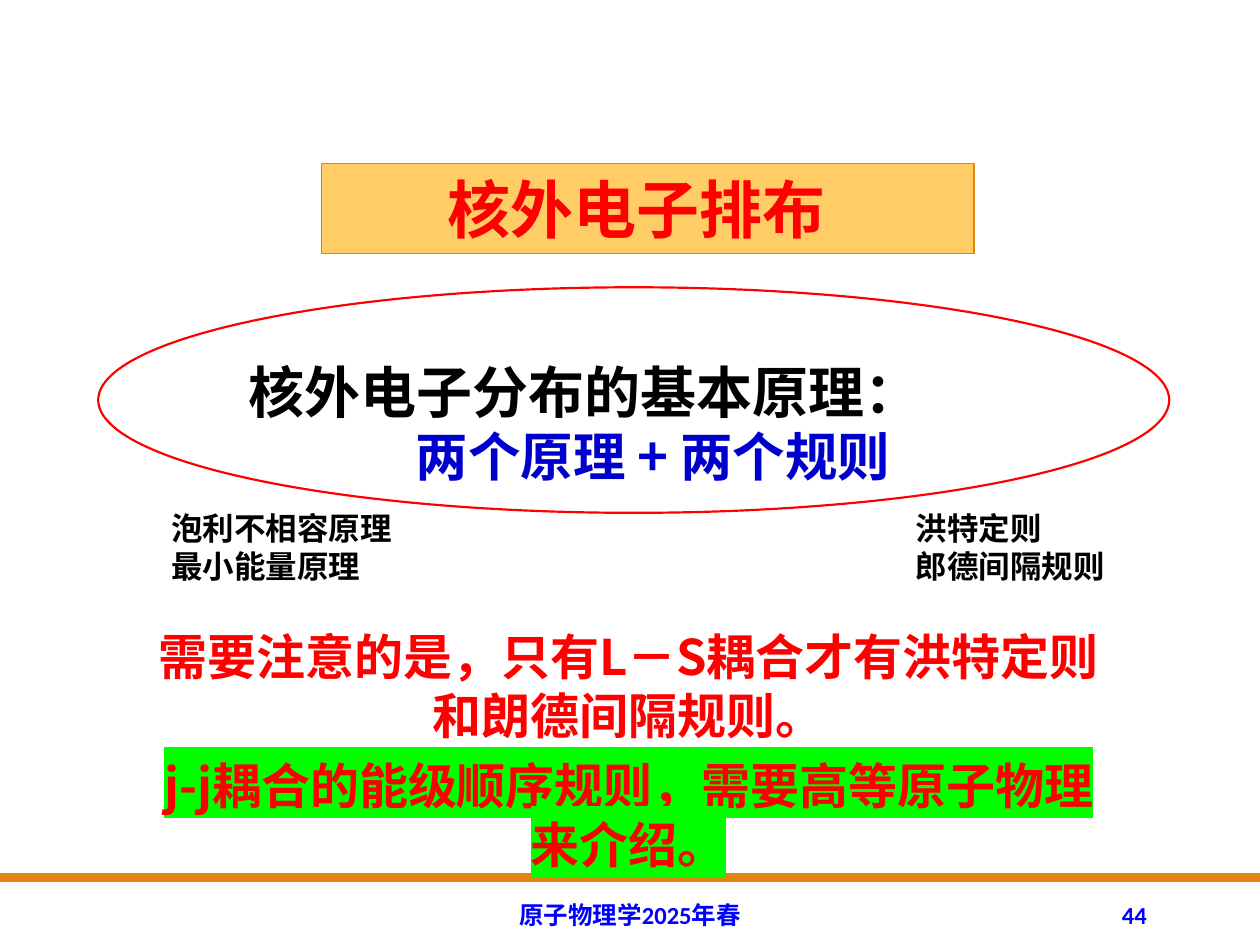
from lxml import etree
from pptx import Presentation
from pptx.dml.color import RGBColor
from pptx.enum.shapes import MSO_SHAPE
from pptx.enum.text import MSO_ANCHOR, PP_ALIGN
from pptx.oxml.ns import qn
from pptx.util import Inches, Pt

RECT, OVAL = MSO_SHAPE.RECTANGLE, MSO_SHAPE.OVAL
LEFT, CENTER, RIGHT, JUSTIFY = PP_ALIGN.LEFT, PP_ALIGN.CENTER, PP_ALIGN.RIGHT, PP_ALIGN.JUSTIFY
TOP, MIDDLE = MSO_ANCHOR.TOP, MSO_ANCHOR.MIDDLE
COLORS = {"orange": "E48312", "sand": "FFCC66", "red": "FF0000", "navy": "0000CC",
          "blue": "0000FF", "black": "000000", "green": "00FF00"}
CJK = "Noto Sans CJK SC"
WIDTH, HEIGHT = Inches(10), Inches(7.5)
COLUMN, ROW = WIDTH / 100, HEIGHT / 75


def color(key):
    return RGBColor.from_string(COLORS[key])


def place(box):
    return [round(share * unit) for share, unit in zip(box, (COLUMN, ROW) * 2)]


def add_outline(slide, kind, box, fill=None, line=None, weight=1):
    shape = slide.shapes.add_shape(kind, *place(box))
    shape.shadow.inherit = False
    if fill:
        shape.fill.solid()
        shape.fill.fore_color.rgb = color(fill)
    else:
        shape.fill.background()
    if line:
        shape.line.color.rgb = color(line)
        shape.line.width = Pt(weight)
    else:
        shape.line.fill.background()
    return shape


def add_text_area(slide, box):
    return slide.shapes.add_textbox(*place(box))


def write(shape, lines, size, ink, face=CJK, align=LEFT, anchor=TOP):
    frame = shape.text_frame
    frame.word_wrap = True
    frame.vertical_anchor = anchor
    for number, text in enumerate(lines):
        paragraph = frame.add_paragraph() if number else frame.paragraphs[0]
        paragraph.alignment = align
        run = paragraph.add_run()
        run.text = text
        for key, value in {"size": Pt(size), "bold": True, "name": face}.items():
            setattr(run.font, key, value)
        run.font.color.rgb = color(ink)
        latin = run.font._element.find(qn("a:latin"))
        east_asian = etree.Element(qn("a:ea"), typeface=CJK)
        latin.addnext(east_asian)
    return frame


def highlight(run, key):
    mark = etree.Element(qn("a:highlight"))
    etree.SubElement(mark, qn("a:srgbClr"), val=COLORS[key])
    run.font._element.find(qn("a:latin")).addprevious(mark)


def build_title(slide, box):
    banner = add_outline(slide, RECT, box, "sand", "orange", 0.75)
    frame = write(banner, ["核外电子排布"], 36, "red")
    frame.margin_left = round(10 * COLUMN)


def build_principles(slide, box):
    left, top, width, height = box
    add_outline(slide, OVAL, box, line="red", weight=1.25)
    area = add_text_area(slide, (left + 8, top + 5.1, width + 2.9, height - 6.5))
    frame = write(area, ["核外电子分布的基本原理："], 32, "black", align=JUSTIFY)
    summary = add_text_area(slide, (left + 8, top + 10.4, width + 2.9, 6))
    summary_frame = write(summary, ["两个原理 + 两个规则"], 30, "navy", align=JUSTIFY)
    for part, indent in ((frame, 2.9), (summary_frame, 16.2)):
        part.paragraphs[0]._p.get_or_add_pPr().set("indent", str(round(indent * COLUMN)))


def build_rules(slide, box):
    left, top, width, height = box
    groups = (["泡利不相容原理", "最小能量原理"], ["洪特定则", "郎德间隔规则"])
    for number, lines in enumerate(groups):
        area = add_text_area(slide, (left + number * (width - 25.8), top, 25.8, height))
        write(area, lines, 18, "black", "Arial")


def build_remark(slide, box):
    lines = ["需要注意的是，只有L－S耦合才有洪特定则和朗德间隔规则。",
             "j-j耦合的能级顺序规则，需要高等原子物理来介绍。"]
    frame = write(add_text_area(slide, box), lines, 28, "red", align=CENTER)
    for paragraph in frame.paragraphs:
        paragraph.line_spacing = Pt(33.8)
    paragraph.space_before = Pt(6)
    highlight(paragraph.runs[0], "green")


def build_footer(slide, box):
    left, top, width, height = box
    entries = (("原子物理学2025年春", 30.2, 39.6, CENTER), ("44", 81.2, 10.8, RIGHT))
    for text, start, span, align in entries:
        area = add_text_area(slide, (left + start, top, span, height))
        write(area, [text], 14, "blue", "Calibri", align, MIDDLE)


def main():
    deck = Presentation()
    deck.slide_width, deck.slide_height = WIDTH, HEIGHT
    slide = deck.slides.add_slide(deck.slide_layouts[6])
    add_outline(slide, RECT, (0, 69.3, 100, 0.7), "orange")
    build_title(slide, (25.5, 13, 51.8, 7.1))
    build_principles(slide, (7.8, 22.8, 85, 17.9))
    build_rules(slide, (12.6, 39.9, 84.9, 7.1))
    build_remark(slide, (10.6, 49.2, 78.6, 21))
    build_footer(slide, (0, 70.6, 100, 4))
    deck.save("out.pptx")


if __name__ == "__main__":
    main()
